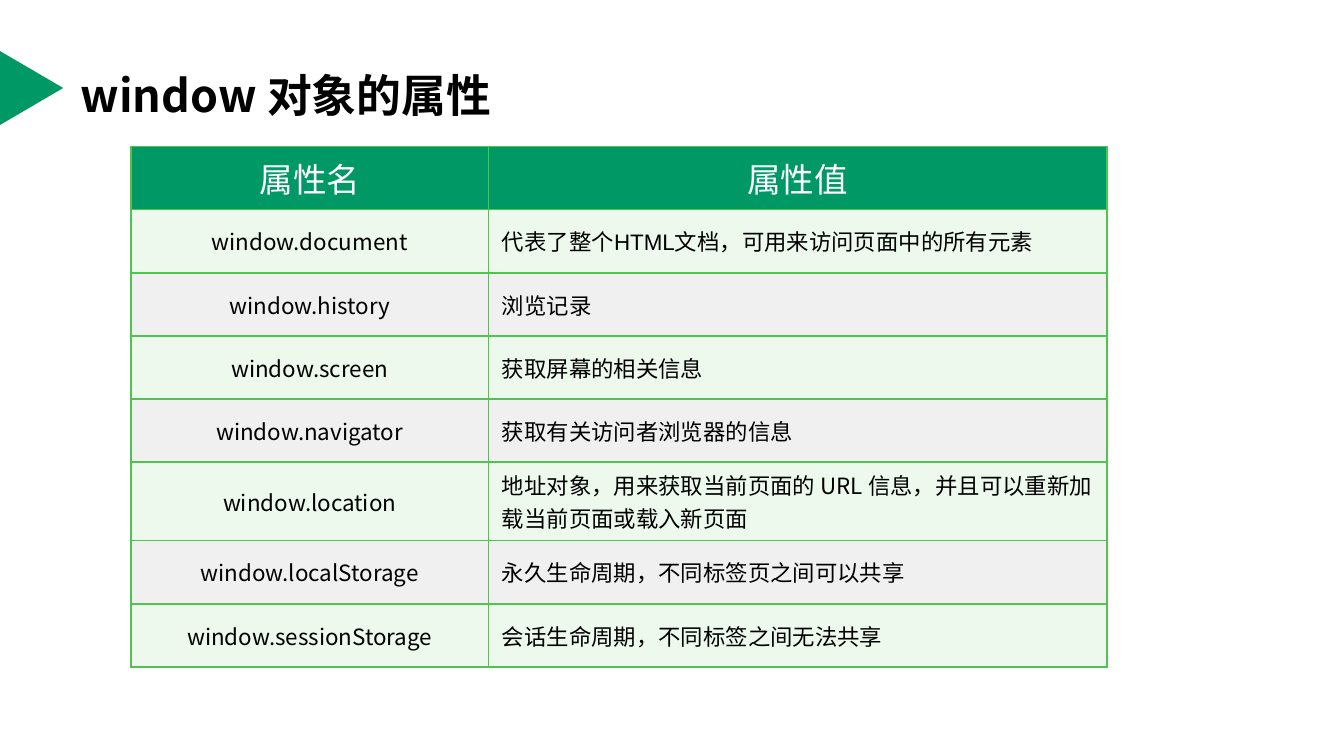
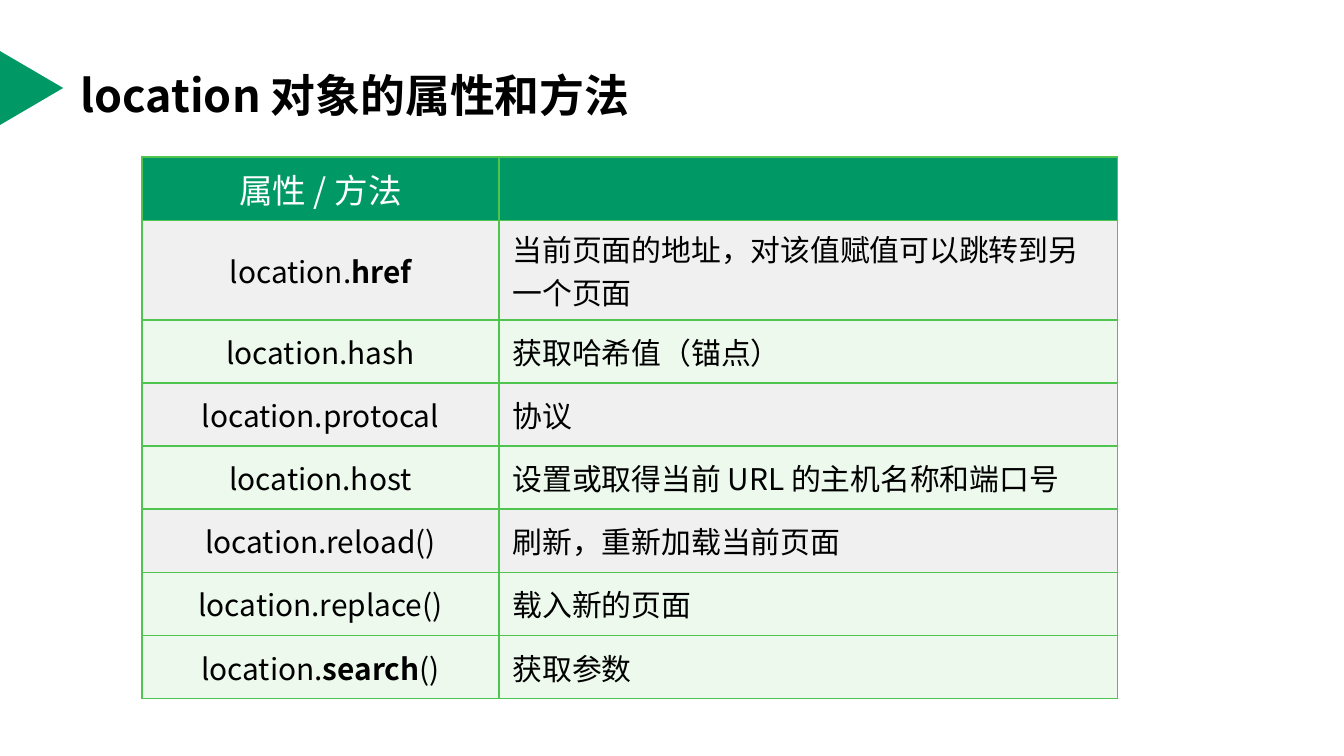
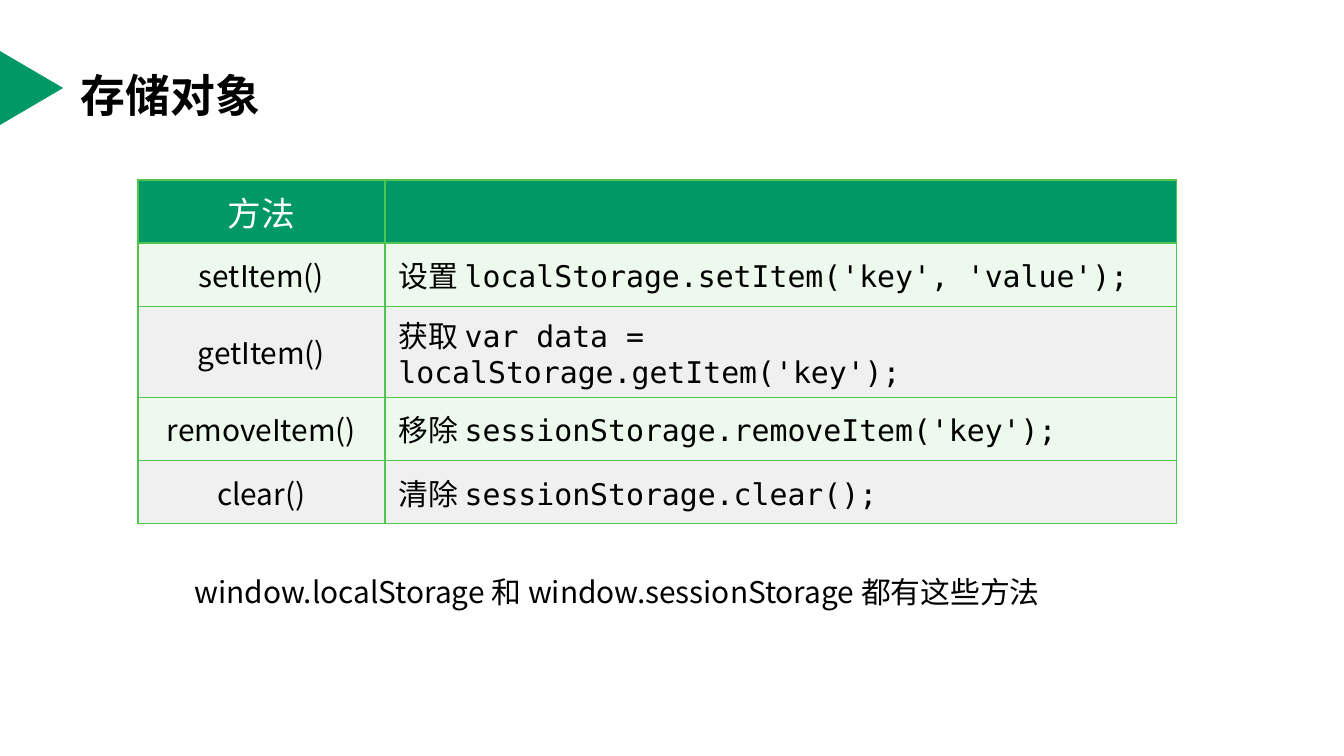
import pptx
import pptx.util
import pptx.dml.color
import pptx.enum.shapes
import pptx.enum.text
import pptx.oxml
import pptx.oxml.ns
from dataclasses import dataclass

PX = 4572  # 200 px to the inch
ALIGN = pptx.enum.text.PP_ALIGN
MIDDLE = pptx.enum.text.MSO_ANCHOR.MIDDLE
AUTO_SIZE = pptx.enum.text.MSO_AUTO_SIZE


@dataclass(frozen=True)
class Theme:
    green: str = "009966"
    border: str = "4FC54F"
    mint: str = "EDF9ED"
    grey: str = "F0F0F0"
    ink: str = "000000"
    white: str = "FFFFFF"
    font: str = "Noto Sans CJK SC"
    arial: str = "Arial"
    mono: str = "DejaVu Sans Mono"
    title_size: int = 24
    head_size: int = 18
    body_size: int = 16
    small_size: int = 12
    border_width: int = 1


THEME = Theme()
PAGE_SIZE = (2000, 1125)
TITLE_BOX = (100, 46, 1800, 188)
MARKER_BOX = (-8, 84, 110, 94)
ROW_HEIGHT = 94


@dataclass(frozen=True)
class Span:
    text: str
    font: str = THEME.font
    bold: bool = False


def emu(*lengths):
    return [length * PX for length in lengths]


def rgb(code):
    return pptx.dml.color.RGBColor.from_string(code)


def arial(text):
    return Span(text, font=THEME.arial)


def mono(text):
    return Span(text, font=THEME.mono)


def bold(text):
    return Span(text, bold=True)


# Text: a plain string, a span, or a list of both
def write(para, content, size, color=THEME.ink, align=ALIGN.LEFT):
    para.alignment = align
    for item in content if isinstance(content, list) else [content]:
        span = Span(item) if isinstance(item, str) else item
        run = para.add_run()
        run.text = span.text
        run.font.size = pptx.util.Pt(size)
        run.font.bold = span.bold
        run.font.color.rgb = rgb(color)
        run.font.name = span.font
        east_asian = pptx.oxml.parse_xml(
            f'<a:ea {pptx.oxml.ns.nsdecls("a")} typeface="{THEME.font}"/>')
        run.font._element.find(pptx.oxml.ns.qn("a:latin")).addnext(east_asian)


# Shared layout: the green marker beside each title
def add_marker(layout, page):
    marker = page.shapes.add_shape(
        pptx.enum.shapes.MSO_SHAPE.ISOSCELES_TRIANGLE, *emu(*MARKER_BOX))
    marker.rotation = 90
    marker.shadow.inherit = False
    marker.fill.solid()
    marker.fill.fore_color.rgb = rgb(THEME.green)
    marker.line.fill.background()
    layout.shapes.element.insert(2, marker.element)


def add_title(page, text):
    title = page.shapes.title
    title.left, title.top, title.width, title.height = emu(*TITLE_BOX)
    frame = title.text_frame
    frame.auto_size = AUTO_SIZE.NONE
    frame.vertical_anchor = MIDDLE
    write(frame.paragraphs[0], bold(text), THEME.title_size)


def style_cell(cell, fill):
    cell.vertical_anchor = MIDDLE
    cell.fill.solid()
    cell.fill.fore_color.rgb = rgb(fill)
    properties = cell._tc.get_or_add_tcPr()
    width = pptx.util.Pt(THEME.border_width)
    for index, side in enumerate(("lnL", "lnR", "lnT", "lnB")):
        properties.insert(index, pptx.oxml.parse_xml(
            f'<a:{side} {pptx.oxml.ns.nsdecls("a")} w="{width}"><a:solidFill>'
            f'<a:srgbClr val="{THEME.border}"/></a:solidFill></a:{side}>'))


# Table: centred names on the left, explanations on the right
def add_reference_table(page, left, top, columns, header, rows, bands, size):
    box = emu(left, top, sum(columns), ROW_HEIGHT * (len(rows) + 1))
    table = page.shapes.add_table(len(rows) + 1, len(columns), *box).table
    table.horz_banding = False
    for column, width in zip(table.columns, emu(*columns)):
        column.width = width
    for cell, text in zip(table.rows[0].cells, header):
        style_cell(cell, THEME.green)
        if text:
            write(cell.text_frame.paragraphs[0], text, THEME.head_size,
                  THEME.white, ALIGN.CENTER)
    for row_number, (contents, fill) in enumerate(zip(rows, bands), 1):
        cells = table.rows[row_number].cells
        for cell, content, align in zip(cells, contents, (ALIGN.CENTER, ALIGN.LEFT)):
            style_cell(cell, fill)
            write(cell.text_frame.paragraphs[0], content, size, align=align)


def add_note(page, left, top, width, height, text):
    frame = page.shapes.add_textbox(*emu(left, top, width, height)).text_frame
    frame.word_wrap = True
    frame.auto_size = AUTO_SIZE.SHAPE_TO_FIT_TEXT
    write(frame.paragraphs[0], text, THEME.body_size)


def build_window_page(page):
    add_title(page, "window 对象的属性")
    rows = [
        ("window.document", arial("代表了整个HTML文档，可用来访问页面中的所有元素")),
        ("window.history", "浏览记录"),
        ("window.screen", "获取屏幕的相关信息"),
        ("window.navigator", "获取有关访问者浏览器的信息"),
        ("window.location", ["地址对象，用来获取当前页面的 URL 信息，",
                             arial("并且可以重新加载当前页面或载入新页面")]),
        ("window.localStorage", "永久生命周期，不同标签页之间可以共享"),
        ("window.sessionStorage", "会话生命周期，不同标签之间无法共享"),
    ]
    bands = [THEME.mint, THEME.grey] * 3 + [THEME.mint]
    add_reference_table(page, 195, 218, (532, 920), ("属性名", "属性值"),
                        rows, bands, THEME.small_size)


def build_location_page(page):
    add_title(page, "location 对象的属性和方法")
    rows = [
        (["location.", bold("href")], "当前页面的地址，对该值赋值可以跳转到另一个页面"),
        ("location.hash", "获取哈希值（锚点）"),
        ("location.protocal", "协议"),
        ("location.host", "设置或取得当前 URL 的主机名称和端口号"),
        ("location.reload()", "刷新，重新加载当前页面"),
        ("location.replace()", "载入新的页面"),
        (["location.", bold("search"), "()"], "获取参数"),
    ]
    bands = [THEME.grey, THEME.mint] * 3 + [THEME.mint]
    add_reference_table(page, 211, 234, (532, 920), ("属性 / 方法", ""),
                        rows, bands, THEME.body_size)


def build_storage_page(page):
    add_title(page, "存储对象")
    rows = [
        ("setItem()", ["设置 ", mono("localStorage.setItem('key', 'value');")]),
        ("getItem()", ["获取", mono(" var data = localStorage.getItem('key');")]),
        ("removeItem()", ["移除 ", mono("sessionStorage.removeItem('key');")]),
        ("clear()", ["清除 ", mono("sessionStorage.clear();")]),
    ]
    bands = [THEME.mint, THEME.grey] * 2
    add_reference_table(page, 205, 268, (368, 1178), ("方法", ""),
                        rows, bands, THEME.body_size)
    add_note(page, 270, 844, 1430, 78,
             "window.localStorage 和 window.sessionStorage 都有这些方法")


def main():
    deck = pptx.Presentation()
    deck.slide_width, deck.slide_height = emu(*PAGE_SIZE)
    layout = deck.slide_layouts.get_by_name("Title Only")
    builders = (build_window_page, build_location_page, build_storage_page)
    pages = [deck.slides.add_slide(layout) for _ in builders]
    add_marker(layout, pages[0])
    for build, page in zip(builders, pages):
        build(page)
    deck.save("out.pptx")


if __name__ == "__main__":
    main()
